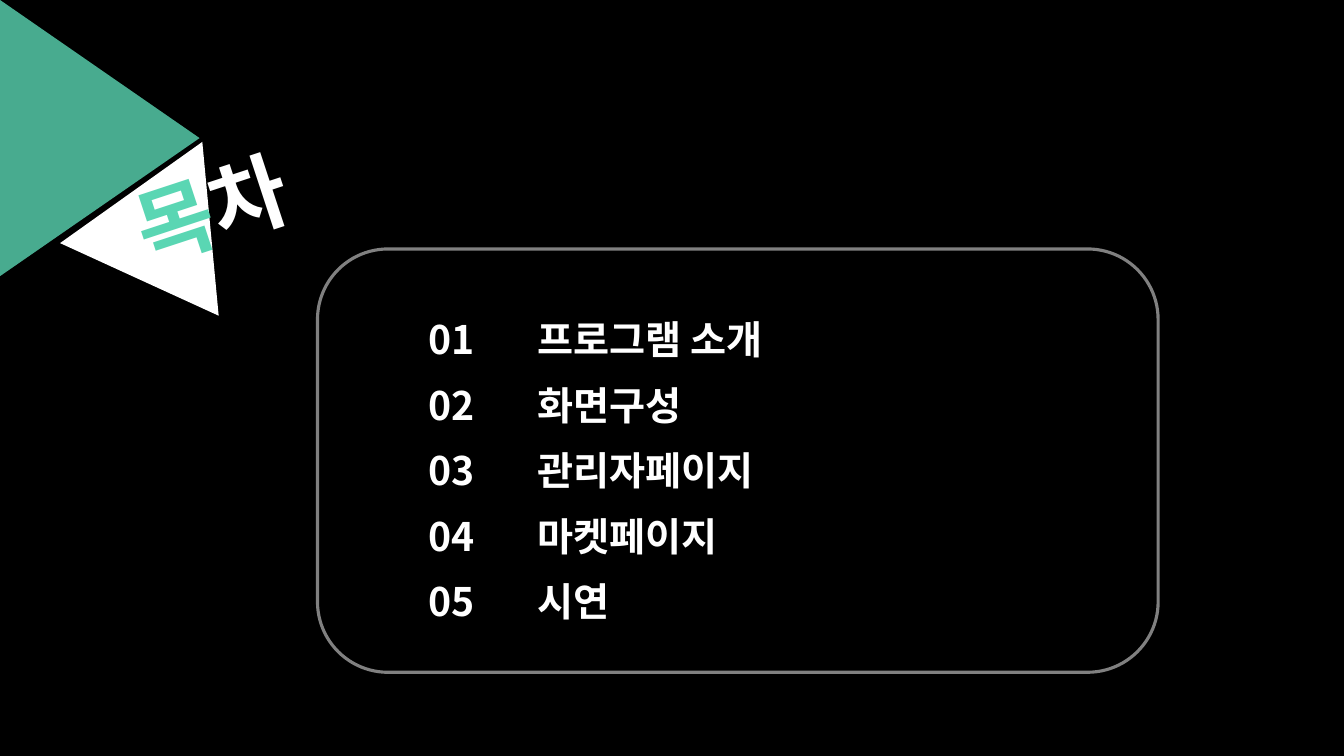
from lxml import etree
from pptx import Presentation
from pptx.dml.color import RGBColor
from pptx.enum.shapes import MSO_SHAPE
from pptx.enum.text import MSO_AUTO_SIZE
from pptx.oxml.ns import qn
from pptx.util import Pt

TRIANGLE = MSO_SHAPE.ISOSCELES_TRIANGLE
ROUNDED = MSO_SHAPE.ROUNDED_RECTANGLE
GROW = MSO_AUTO_SIZE.SHAPE_TO_FIT_TEXT

BLACK = RGBColor(0x00, 0x00, 0x00)
WHITE = RGBColor(0xFF, 0xFF, 0xFF)
MINT = RGBColor(0x5A, 0xD6, 0xB3)
GRAY = RGBColor(0x80, 0x80, 0x80)

FONT = "Noto Sans CJK KR"
TITLE = [("목", MINT), ("차", WHITE)]
CHAPTERS = ["프로그램 소개", "화면구성", "관리자페이지", "마켓페이지", "시연"]


def add_triangle(slide, left, top, width, height, rotation, color):
    triangle = slide.shapes.add_shape(
        TRIANGLE, Pt(left), Pt(top), Pt(width), Pt(height))
    triangle.shadow.inherit = False
    triangle.rotation = rotation
    triangle.fill.solid()
    triangle.fill.fore_color.rgb = color
    triangle.line.fill.background()
    return triangle


def add_label(slide, left, top, width, height, size, parts):
    label = slide.shapes.add_textbox(Pt(left), Pt(top), Pt(width), Pt(height))
    label.text_frame.word_wrap = True
    label.text_frame.auto_size = GROW
    paragraph = label.text_frame.paragraphs[0]
    paragraph.font.name = FONT
    paragraph.font.size = Pt(size)
    paragraph.font.bold = True
    defaults = paragraph._p.pPr.find(qn("a:defRPr"))
    etree.SubElement(defaults, qn("a:ea"), typeface=FONT)
    for text, color in parts:
        run = paragraph.add_run()
        run.text = text
        run.font.color.rgb = color
    return label


def add_heading(slide, left, top):
    corner = add_triangle(slide, left - 27.36, top + 27.36, 197.28, 142.56, 90, MINT)
    tint = corner.fill._xPr.find(".//" + qn("a:srgbClr"))
    etree.SubElement(tint, qn("a:alpha"), val="80000")
    add_triangle(slide, left + 59.76, top + 96.48, 124.56, 108, 24.6, WHITE)
    title = add_label(slide, left + 87.84, top + 102.96, 160.56, 79.92, 60, TITLE)
    title.rotation = 341.7


def add_contents(slide, left, top, width, height):
    frame = slide.shapes.add_shape(
        ROUNDED, Pt(left), Pt(top), Pt(width), Pt(height))
    frame.shadow.inherit = False
    frame.fill.background()
    frame.line.color.rgb = GRAY
    frame.line.width = Pt(2.25)
    row_pitch = 46.8
    for index, chapter in enumerate(CHAPTERS):
        add_label(slide, left + 72, top + 43.92 + index * row_pitch,
                  width - 81.36, 41.04, 28,
                  [(f"{index + 1:02} \t {chapter}", WHITE)])


def main():
    deck = Presentation()
    deck.slide_width, deck.slide_height = Pt(960), Pt(540)
    slide = deck.slides.add_slide(deck.slide_layouts[6])
    slide.background.fill.solid()
    slide.background.fill.fore_color.rgb = BLACK
    add_heading(slide, 0, 0)
    add_contents(slide, 226.8, 177.84, 600.48, 302.4)
    deck.save("out.pptx")


if __name__ == "__main__":
    main()
